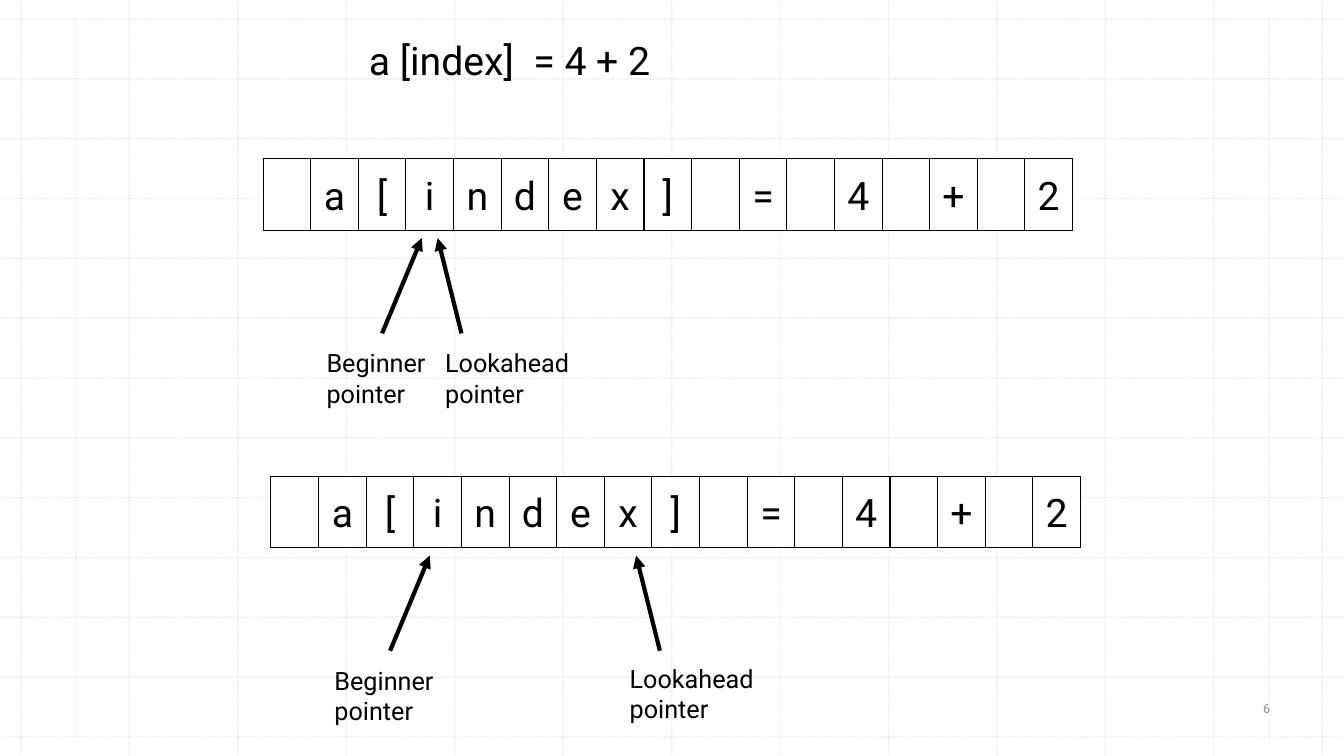
from pptx import Presentation
from pptx.dml.color import RGBColor
from pptx.enum.dml import MSO_LINE
from pptx.enum.shapes import MSO_CONNECTOR, MSO_SHAPE
from pptx.enum.text import MSO_ANCHOR, MSO_AUTO_SIZE, PP_ALIGN
from pptx.oxml.ns import qn
from pptx.util import Cm, Pt
from lxml.etree import SubElement

BLACK = RGBColor(0x00, 0x00, 0x00)
WHITE = RGBColor(0xFF, 0xFF, 0xFF)
GRID_GREY = RGBColor(0xBC, 0xBC, 0xBC)
NUMBER_GREY = RGBColor(0x8C, 0x8C, 0x8C)

PAGE_WIDTH, PAGE_HEIGHT = 33.87, 19.05
GRID_LEFT, GRID_RIGHT = 0.53, 33.32
GRID_TOP, GRID_BOTTOM = 0.48, 18.57
GRID_STEPS = 12
MARGINS = (1.91, 31.98)

BUFFER = " a[index] = 4 + 2"
CELL_WIDTH, CELL_HEIGHT = 1.2, 1.8
BEGINNER = ("Beginner", 3.05, (3, 4.4), (4, 2), (1.35, 4.64))
STATES = [
    (6.63, 4, [BEGINNER, ("Lookahead", 3.84, (5, 4.4), (4.4, 2), (4.34, 4.64))]),
    (6.83, 12, [BEGINNER, ("Lookahead", 3.84, (9.8, 4.4), (9.2, 2), (8.79, 4.59))]),
]


class Canvas:
    """Hold the text style and the page, and draw each kind of element."""

    font = "Roboto"

    def __init__(self, page):
        self.page = page

    def fill_text(self, box, lines, size, color=BLACK, align=PP_ALIGN.LEFT, anchor=MSO_ANCHOR.TOP):
        """Fill a box with one paragraph per line."""
        frame = box.text_frame
        frame.word_wrap = False
        frame.auto_size = MSO_AUTO_SIZE.NONE
        frame.vertical_anchor = anchor
        for index, line in enumerate(lines):
            para = frame.add_paragraph() if index else frame.paragraphs[0]
            para.alignment = align
            span = para.add_run()
            span.text = line
            span.font.name = self.font
            span.font.size = Pt(size)
            span.font.color.rgb = color

    def title(self, text, left, top, width, height):
        """Place the title placeholder in front of what is drawn so far."""
        box = self.page.shapes.title
        box.left, box.top, box.width, box.height = map(Cm, (left, top, width, height))
        self.fill_text(box, [text], 28)
        box.element.getparent().append(box.element)

    def label(self, lines, left, top, width, height, size, **style):
        """Add a text box."""
        box = self.page.shapes.add_textbox(*map(Cm, (left, top, width, height)))
        self.fill_text(box, lines, size, **style)

    def cell(self, symbol, left, top):
        """Add one outlined cell of the input buffer."""
        box = self.page.shapes.add_shape(
            MSO_SHAPE.RECTANGLE, *map(Cm, (left, top, CELL_WIDTH, CELL_HEIGHT)))
        box.shadow.inherit = False
        box.fill.solid()
        box.fill.fore_color.rgb = WHITE
        box.line.color.rgb = BLACK
        box.line.width = Pt(0.75)
        if symbol.strip():
            self.fill_text(box, [symbol], 28, align=PP_ALIGN.CENTER, anchor=MSO_ANCHOR.MIDDLE)

    def line(self, start, end, color, width):
        """Add a straight line without a shadow."""
        connector = self.page.shapes.add_connector(
            MSO_CONNECTOR.STRAIGHT, *map(Cm, (*start, *end)))
        connector.line.color.rgb = color
        connector.line.width = Pt(width)
        SubElement(connector.element.spPr, qn("a:effectLst"))
        return connector

    def grid_line(self, start, end):
        """Add a faint dotted line."""
        connector = self.line(start, end, GRID_GREY, 1)
        connector.line.dash_style = MSO_LINE.ROUND_DOT
        tint = next(connector.element.spPr.iter(qn("a:srgbClr")))
        SubElement(tint, qn("a:alpha")).set("val", "30000")

    def arrow(self, start, end):
        """Add a thick arrow that points at its end."""
        connector = self.line(start, end, BLACK, 3)
        outline = connector.element.spPr.find(qn("a:ln"))
        SubElement(outline, qn("a:tailEnd")).set("type", "triangle")

    def grid(self):
        """Draw the background grid and its two margin lines."""
        for step in range(GRID_STEPS + 1):
            x = GRID_LEFT + step * (GRID_RIGHT - GRID_LEFT) / GRID_STEPS
            y = GRID_TOP + step * (GRID_BOTTOM - GRID_TOP) / GRID_STEPS
            self.grid_line((x, 0), (x, PAGE_HEIGHT))
            self.grid_line((0, y), (PAGE_WIDTH, y))
        for x in MARGINS:
            self.grid_line((x, GRID_TOP), (x, GRID_BOTTOM))

    def buffer(self, left, top, pointers):
        """Draw the input buffer with the pointers below it."""
        for index, symbol in enumerate(BUFFER):
            self.cell(symbol, left + index * CELL_WIDTH, top)
        for name, width, start, tip, corner in pointers:
            self.arrow((left + start[0], top + start[1]), (left + tip[0], top + tip[1]))
            self.label([name, "pointer"], left + corner[0], top + corner[1], width, 1.78, 18)


def main():
    """Build the slide and save it."""
    deck = Presentation()
    deck.slide_width, deck.slide_height = Cm(PAGE_WIDTH), Cm(PAGE_HEIGHT)
    canvas = Canvas(deck.slides.add_slide(deck.slide_layouts.get_by_name("Title Only")))
    canvas.grid()
    canvas.title("a [index]  = 4 + 2", 9.04, 0.79, 8.15, 1.45)
    for left, top, pointers in STATES:
        canvas.buffer(left, top, pointers)
    canvas.label(["6"], 30.56, 17.27, 2.72, 1.17, 9, color=NUMBER_GREY,
                 align=PP_ALIGN.CENTER, anchor=MSO_ANCHOR.MIDDLE)
    deck.save("out.pptx")


if __name__ == "__main__":
    main()
